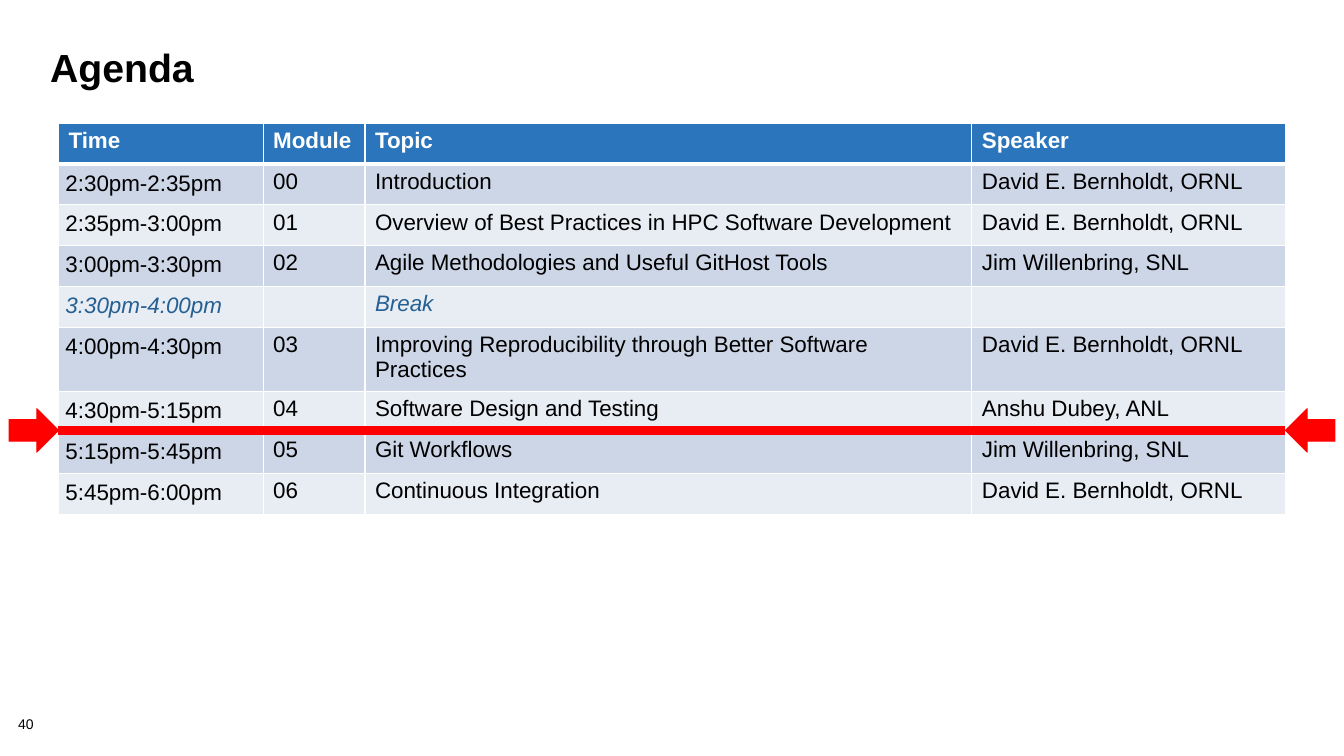
"""Build the agenda slide with its schedule table and progress marker."""
from lxml.etree import SubElement
from pptx import Presentation
from pptx.dml.color import RGBColor
from pptx.enum.shapes import MSO_CONNECTOR, MSO_SHAPE as SHAPE
from pptx.oxml.ns import qn
from pptx.util import Inches, Pt

HEADER = ("Time", "Module", "Topic", "Speaker")
SESSIONS = [
    ("2:30pm-2:35pm", "00", "Introduction", "David E. Bernholdt, ORNL"),
    ("2:35pm-3:00pm", "01", "Overview of Best Practices in HPC Software Development",
     "David E. Bernholdt, ORNL"),
    ("3:00pm-3:30pm", "02", "Agile Methodologies and Useful GitHost Tools",
     "Jim Willenbring, SNL"),
    ("3:30pm-4:00pm", "", "Break", ""),
    ("4:00pm-4:30pm", "03", "Improving Reproducibility through Better Software Practices",
     "David E. Bernholdt, ORNL"),
    ("4:30pm-5:15pm", "04", "Software Design and Testing", "Anshu Dubey, ANL"),
    ("5:15pm-5:45pm", "05", "Git Workflows", "Jim Willenbring, SNL"),
    ("5:45pm-6:00pm", "06", "Continuous Integration", "David E. Bernholdt, ORNL"),
]
COLUMN_WIDTHS = (2.03, 1.01, 6.02, 3.11)
TABLE_LEFT, TABLE_TOP, TABLE_HEIGHT = 0.58, 1.22, 3.65
TABLE_RIGHT = TABLE_LEFT + sum(COLUMN_WIDTHS)
ARROW_WIDTH, ARROW_HEIGHT, MARKER_Y = 0.49, 0.43, 4.27
BLACK, WHITE, RED = "000000", "FFFFFF", "FF0000"
HEADER_BLUE, BREAK_BLUE = "2A75BB", "266093"
BANDS = ("CDD6E7", "E8ECF3")


def color(value):
    return RGBColor.from_string(value)


def write(frame, text, size=16, ink=BLACK, bold=False, italic=False, spacing=None):
    para = frame.paragraphs[0]
    para.line_spacing = spacing
    para.font.size = Pt(size)
    if text:
        span = para.add_run()
        span.text = text
        font = span.font
        font.name, font.size = "Arial", Pt(size)
        font.bold, font.italic = bold, italic
        font.color.rgb = color(ink)


def add_text(page, text, left, top, width, height, margins=None, **style):
    box = page.shapes.add_textbox(*map(Inches, (left, top, width, height)))
    frame = box.text_frame
    frame.word_wrap = True
    if margins is not None:
        frame.margin_left = frame.margin_right = Inches(margins)
        frame.margin_top = frame.margin_bottom = Inches(margins)
    write(frame, text, **style)


def set_borders(cell, bottom=1, top=1):
    properties = cell._tc.get_or_add_tcPr()
    sides = (("a:lnL", 1), ("a:lnR", 1), ("a:lnT", top), ("a:lnB", bottom))
    for position, (tag, width) in enumerate(sides):
        line = SubElement(properties, qn(tag), w=str(Pt(width)))
        fill = SubElement(line, qn("a:solidFill"))
        SubElement(fill, qn("a:srgbClr"), val=WHITE)
        properties.insert(position, line)


def add_schedule(page):
    rows = [HEADER] + SESSIONS
    table = page.shapes.add_table(
        len(rows), len(HEADER), Inches(TABLE_LEFT), Inches(TABLE_TOP),
        Inches(TABLE_RIGHT - TABLE_LEFT), Inches(TABLE_HEIGHT)).table
    for column, width in zip(table.columns, COLUMN_WIDTHS):
        column.width = Inches(width)
    for row, texts in enumerate(rows):
        if row == 0:
            fill, style = HEADER_BLUE, {"ink": WHITE, "bold": True}
        else:
            fill, style = BANDS[(row - 1) % 2], {}
        if "Break" in texts:
            style = {"ink": BREAK_BLUE, "italic": True}
        for column, text in enumerate(texts):
            cell = table.cell(row, column)
            cell.fill.solid()
            cell.fill.fore_color.rgb = color(fill)
            set_borders(cell, bottom=3 if row == 0 else 1, top=3 if row == 1 else 1)
            if row and column == 0:
                cell.margin_left = cell.margin_right = Inches(0.07)
                cell.margin_top = cell.margin_bottom = Inches(0.07)
            write(cell.text_frame, text, **style)


def add_arrow(page, kind, left):
    arrow = page.shapes.add_shape(
        kind, Inches(left), Inches(MARKER_Y - ARROW_HEIGHT / 2),
        Inches(ARROW_WIDTH), Inches(ARROW_HEIGHT))
    arrow.shadow.inherit = False
    arrow.fill.solid()
    arrow.fill.fore_color.rgb = color(RED)
    arrow.line.color.rgb = color(RED)
    arrow.line.width = Pt(0.75)
    return arrow


def add_marker(page):
    marker = page.shapes.add_connector(
        MSO_CONNECTOR.STRAIGHT, Inches(TABLE_LEFT), Inches(MARKER_Y),
        Inches(TABLE_RIGHT), Inches(MARKER_Y))
    marker.line.color.rgb = color(RED)
    marker.line.width = Pt(6)
    SubElement(marker._element.spPr, qn("a:effectLst"))
    marker.begin_connect(add_arrow(page, SHAPE.RIGHT_ARROW, TABLE_LEFT - ARROW_WIDTH), 3)
    marker.end_connect(add_arrow(page, SHAPE.LEFT_ARROW, TABLE_RIGHT), 1)


def main():
    deck = Presentation()
    deck.slide_width, deck.slide_height = Inches(13.33), Inches(7.5)
    page = deck.slides.add_slide(deck.slide_layouts[6])
    add_text(page, "40", 0.18, 7.12, 0.56, 0.16, margins=0, size=10, spacing=0.9)
    add_text(page, "Agenda", 0.4, 0.45, 12.44, 1, size=28, bold=True, spacing=0.85)
    add_schedule(page)
    add_marker(page)
    deck.save("out.pptx")


if __name__ == "__main__":
    main()
